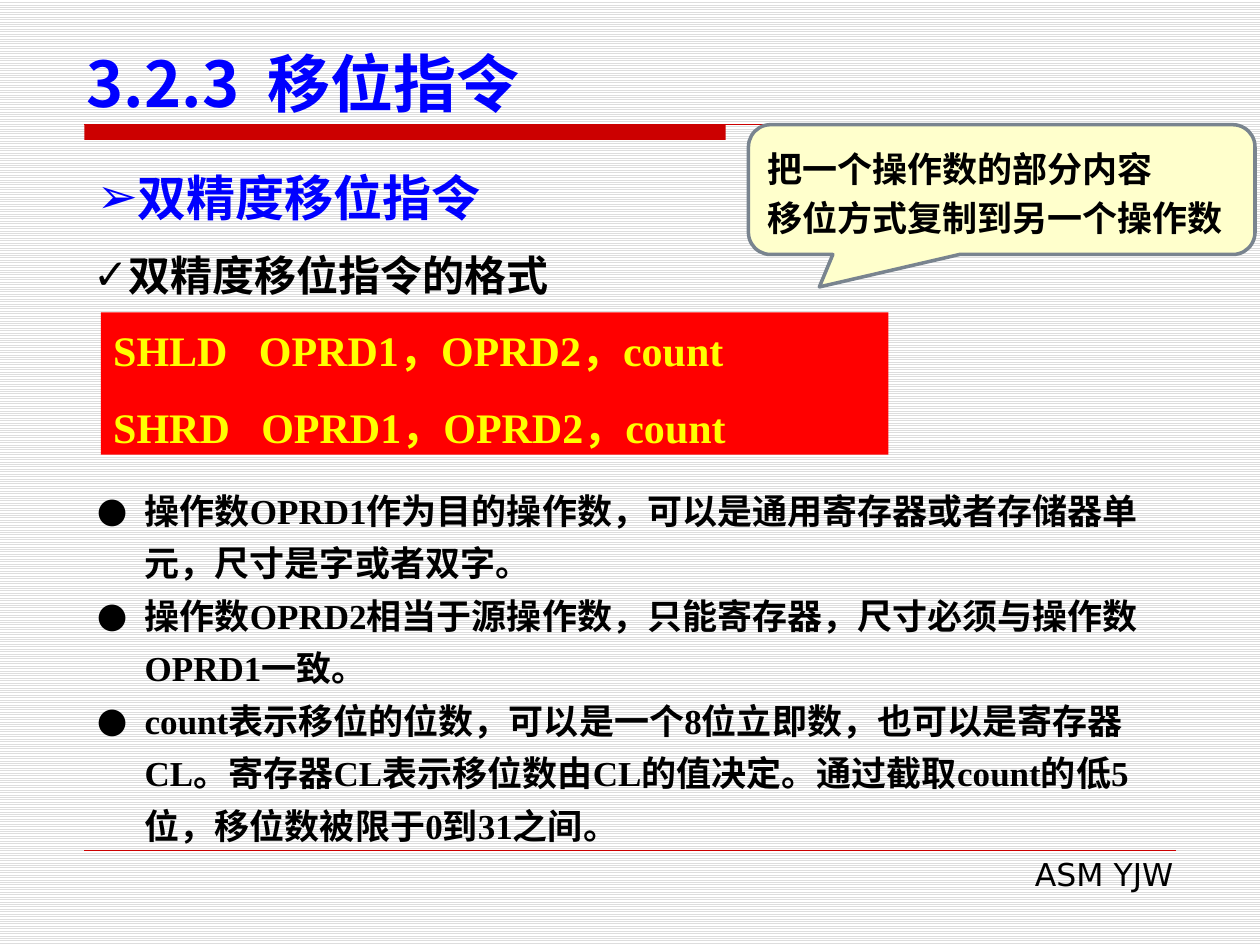
from lxml.etree import SubElement
from pptx import Presentation
from pptx.dml.color import RGBColor
from pptx.enum.dml import MSO_PATTERN as Pattern
from pptx.enum.shapes import MSO_CONNECTOR as Connector, MSO_SHAPE as Shape
from pptx.enum.text import MSO_ANCHOR as Anchor, PP_ALIGN as Align
from pptx.oxml.ns import qn
from pptx.util import Inches, Pt

# Content
TITLE = ["3.2.3  移位指令"]
SECTION = ["双精度移位指令"]
SUBHEAD = ["双精度移位指令的格式"]
SYNTAX = ["SHLD   OPRD1，OPRD2，count", "SHRD   OPRD1，OPRD2，count"]
NOTES = [
    "操作数OPRD1作为目的操作数，可以是通用寄存器或者存储器单元，尺寸是字或者双字。",
    "操作数OPRD2相当于源操作数，只能寄存器，尺寸必须与操作数OPRD1一致。",
    "count表示移位的位数，可以是一个8位立即数，也可以是寄存器CL。"
    "寄存器CL表示移位数由CL的值决定。通过截取count的低5位，移位数被限于0到31之间。",
]
CALLOUT = ["把一个操作数的部分内容", "移位方式复制到另一个操作数"]
FOOTER = ["ASM YJW"]

# Style
COLORS = {
    "red": "CC0000", "panel": "FF0000", "blue": "0000FF", "black": "000000",
    "yellow": "FFFF00", "cream": "FFFFCC", "slate": "79848F",
    "stripe": "DDDDDD", "paper": "FFFFFF",
}
SANS, CJK, SERIF = "DejaVu Sans", "Noto Sans CJK SC", "Times New Roman"

# Grid: 100 columns by 75 rows
WIDTH, HEIGHT = Inches(10), Inches(7.5)
COLUMN, ROW = WIDTH / 100, HEIGHT / 75
LEFT = 6.7


def place(left, top, width, height):
    return (round(left * COLUMN), round(top * ROW),
            round(width * COLUMN), round(height * ROW))


def color(name):
    return RGBColor.from_string(COLORS[name])


def add_bullet(para, mark, indent):
    props = para._p.get_or_add_pPr()
    props.set("marL", str(Inches(indent)))
    props.set("indent", str(-Inches(indent)))
    SubElement(props, qn("a:buFont"), typeface=SANS)
    SubElement(props, qn("a:buChar"), char=mark)


def write(box, lines, size, ink, face=SERIF, bold=True, anchor=Anchor.TOP,
          bullet=None, indent=0, gap=0, **layout):
    frame = box.text_frame
    frame.word_wrap, frame.vertical_anchor = True, anchor
    for index, line in enumerate(lines):
        para = frame.paragraphs[0] if index == 0 else frame.add_paragraph()
        formats = {"alignment": Align.LEFT,
                   "space_before": Pt(gap if index else 0), **layout}
        for name, value in formats.items():
            setattr(para, name, value)
        if bullet:
            add_bullet(para, bullet, indent)
        span = para.add_run()
        span.text = line
        for name, value in {"size": Pt(size), "bold": bold, "name": face}.items():
            setattr(span.font, name, value)
        span.font.color.rgb = color(ink)
        SubElement(span._r.get_or_add_rPr(), qn("a:ea"), typeface=CJK)


def add_text(page, area, lines, size, ink, **formats):
    write(page.shapes.add_textbox(*place(*area)), lines, size, ink, **formats)


def add_block(page, kind, area, fill, line=None, weight=0):
    block = page.shapes.add_shape(kind, *place(*area))
    block.shadow.inherit = False
    block.fill.solid()
    block.fill.fore_color.rgb = color(fill)
    if line:
        block.line.color.rgb = color(line)
        block.line.width = Pt(weight)
    else:
        block.line.fill.background()
    return block


def add_rule(page, start, end, row, weight):
    left, top, span, _ = place(start, row, end - start, 0)
    rule = page.shapes.add_connector(Connector.STRAIGHT, left, top, left + span, top)
    rule.line.color.rgb = color("red")
    rule.line.width = Pt(weight)
    SubElement(rule._element.spPr, qn("a:effectLst"))


def main():
    deck = Presentation()
    deck.slide_width, deck.slide_height = WIDTH, HEIGHT
    page = deck.slides.add_slide(deck.slide_layouts[6])

    # Striped background
    backdrop = page.background.fill
    backdrop.patterned()
    backdrop.pattern = Pattern.LIGHT_HORIZONTAL
    backdrop.fore_color.rgb = color("stripe")
    backdrop.back_color.rgb = color("paper")

    # Title bar, rules and footer
    add_block(page, Shape.RECTANGLE, (LEFT, 9.9, 50.9, 1.2), "red")
    add_rule(page, LEFT, 93.7, 9.9, 0.75)
    add_rule(page, LEFT, 93.3, 67.5, 0.25)
    add_text(page, (38.2, 67.4, 55.9, 4), FOOTER, 18, "black",
             face=SANS, bold=False, alignment=Align.RIGHT)

    # Headings
    add_text(page, (5.9, 2.9, 90.6, 7.1), TITLE, 36, "blue",
             face=CJK, anchor=Anchor.BOTTOM)
    add_text(page, (6.4, 19.3, 73.3, 5), SUBHEAD, 24, "black", bullet="✓")

    # Instruction syntax
    panel = add_block(page, Shape.RECTANGLE, (8, 24.8, 62.5, 11.3), "panel")
    write(panel, SYNTAX, 24, "yellow", gap=12, line_spacing=Pt(32))

    # Operand notes
    add_text(page, (LEFT, 37.5, 85.8, 30.5), NOTES, 20, "black",
             bullet="●", indent=0.38, line_spacing=Pt(30))
    add_text(page, (LEFT, 12.8, 86.6, 5.7), SECTION, 28, "blue",
             face=SANS, bullet="➢", alignment=Align.JUSTIFY)

    # Callout
    callout = add_block(page, Shape.ROUNDED_RECTANGULAR_CALLOUT,
                        (59.4, 9.9, 40.2, 10.3), "cream", "slate", 2)
    for index, value in enumerate((-0.36, 0.75, 0.17)):
        callout.adjustments[index] = value
    write(callout, CALLOUT, 20, "black", face=SANS, anchor=Anchor.MIDDLE,
          line_spacing=Pt(28))

    deck.save("out.pptx")


if __name__ == "__main__":
    main()
